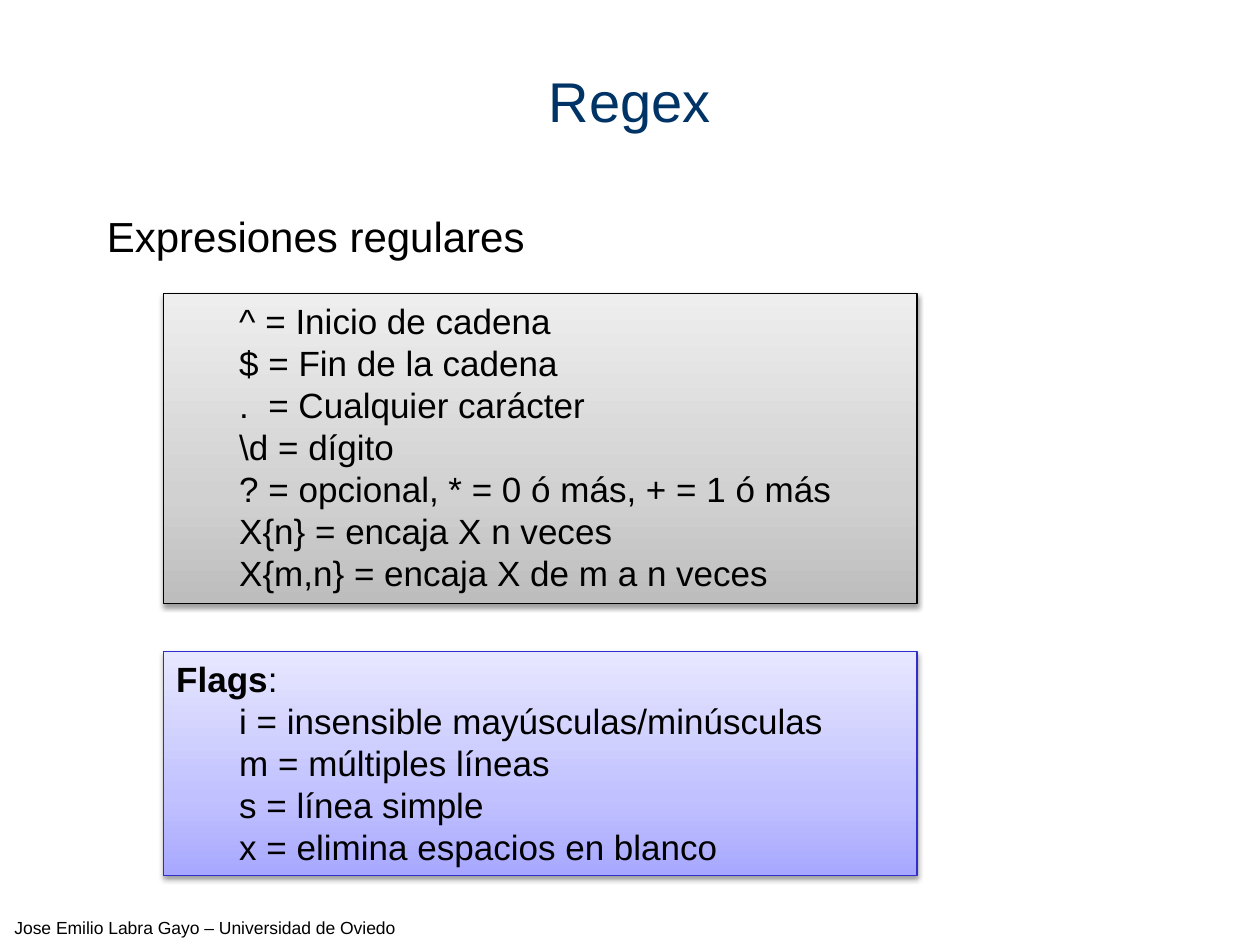
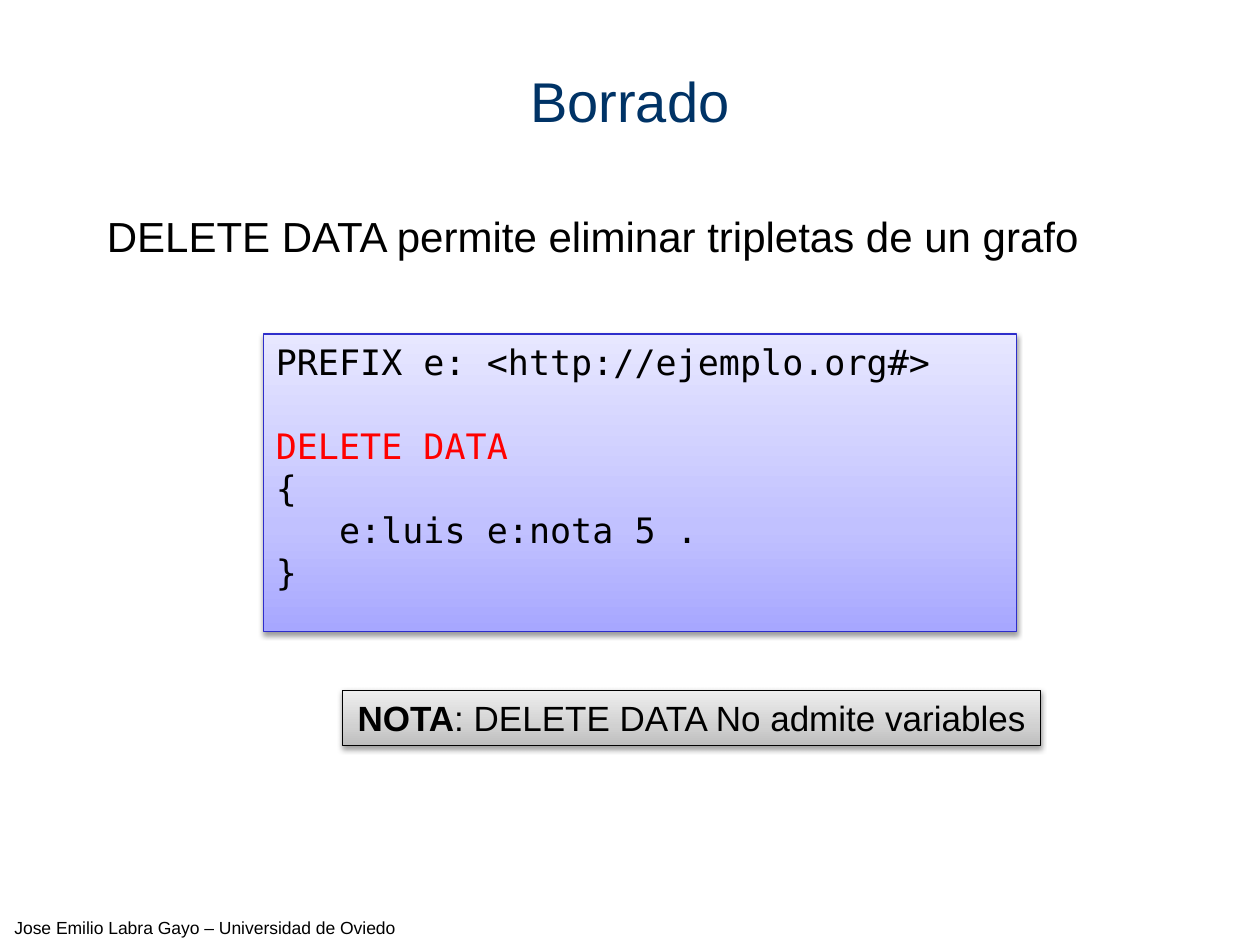
"""Build two slides on regular expressions and on deleting triples."""
from copy import deepcopy

from lxml import etree
from pptx import Presentation
from pptx.dml.color import RGBColor
from pptx.enum import shapes, text
from pptx.oxml.ns import qn
from pptx.util import Pt

SANS, MONO = "Arial", "DejaVu Sans Mono"
BLACK, NAVY, RED = "000000", "003366", "FF0000"
FOOTER = "Jose Emilio Labra Gayo – Universidad de Oviedo"
STOPS = (0, 0.35, 1)
THEMES = {
    "gray": (("BDBDBD", "D1D1D1", "EEEEEE"), BLACK),
    "blue": (("A7A7FF", "C1C1FF", "E7E7FF"), "2E2ECB"),
}
BOLD = {"bold": True}
INDENT = 36

SLIDES = [
    {
        "title": "Regex",
        "lead": "Expresiones regulares",
        "panels": [
            {
                "theme": "gray",
                "at": (93.6, 167.8, 430.5, 177),
                "indented": [
                    "^ = Inicio de cadena",
                    "$ = Fin de la cadena",
                    ".  = Cualquier carácter",
                    "\\d = dígito",
                    "? = opcional, * = 0 ó más, + = 1 ó más",
                    "X{n} = encaja X n veces",
                    "X{m,n} = encaja X de m a n veces",
                ],
            },
            {
                "theme": "blue",
                "at": (93.6, 372.2, 430.5, 128.2),
                "lines": [[("Flags", BOLD), (":", {})]],
                "indented": [
                    "i = insensible mayúsculas/minúsculas",
                    "m = múltiples líneas",
                    "s = línea simple",
                    "x = elimina espacios en blanco",
                ],
            },
        ],
    },
    {
        "title": "Borrado",
        "lead": "DELETE DATA permite eliminar tripletas de un grafo",
        "panels": [
            {
                "theme": "blue",
                "at": (150.5, 190.8, 430.5, 170),
                "lines": [
                    "PREFIX e: <http://ejemplo.org#>",
                    "",
                    [("DELETE DATA", {"color": RED})],
                    "{",
                    "   e:luis e:nota 5 .",
                    "}",
                ],
                "format": {"name": MONO},
            },
            {
                "theme": "gray",
                "at": (195.8, 394.5, 399, 31.7),
                "lines": [[("NOTA", BOLD), (": DELETE DATA No admite variables", {})]],
                "format": {"align": text.PP_ALIGN.CENTER, "wrap": False},
            },
        ],
    },
]


def rgb(value):
    """Turn a hex string into a colour."""
    return RGBColor.from_string(value)


def style(font, name, size, color, bold):
    """Format one font."""
    font.name, font.size, font.bold = name, Pt(size), bold
    font.color.rgb = rgb(color)


def write(shape, lines, indented=(), size=20, name=SANS, color=BLACK, bold=False,
          align=text.PP_ALIGN.LEFT, anchor=text.MSO_ANCHOR.TOP, wrap=True):
    """Fill a shape with plain lines, then indented lines."""
    frame = shape.text_frame
    frame.word_wrap, frame.vertical_anchor = wrap, anchor
    base = {"name": name, "size": size, "color": color, "bold": bold}
    rows = [(line, 0) for line in lines] + [(line, INDENT) for line in indented]
    for index, (line, margin) in enumerate(rows):
        paragraph = frame.add_paragraph() if index else frame.paragraphs[0]
        paragraph.alignment = align
        if margin:
            paragraph._p.get_or_add_pPr().set("marL", str(Pt(margin)))
        style(paragraph.font, **base)
        runs = [(line, {})] if isinstance(line, str) else line
        for words, changes in runs:
            if words:
                run = paragraph.add_run()
                run.text = words
                style(run.font, **{**base, **changes})


def add_label(slide, at, words, **options):
    """Add a one-line text box."""
    box = slide.shapes.add_textbox(*map(Pt, at))
    write(box, [words], **options)


def add_shadow(shape):
    """Give a shape a soft shadow below it."""
    shape.shadow.inherit = False
    effects = shape._element.spPr.find(qn("a:effectLst"))
    shadow = etree.SubElement(effects, qn("a:outerShdw"), blurRad=str(Pt(3.1)),
                              dist=str(Pt(1.6)), dir="5400000", rotWithShape="0")
    color = etree.SubElement(shadow, qn("a:srgbClr"), val=BLACK)
    etree.SubElement(color, qn("a:alpha"), val="38000")


def add_panel(slide, theme, at, lines=(), indented=(), format=None):
    """Add a gradient box with text."""
    colors, edge = THEMES[theme]
    shape = slide.shapes.add_shape(shapes.MSO_SHAPE.RECTANGLE, *map(Pt, at))
    shape.fill.gradient()
    shape.fill.gradient_angle = 90
    stop_list = shape._element.spPr.find(".//" + qn("a:gsLst"))
    stop_list.append(deepcopy(stop_list[0]))
    for stop, position, color in zip(shape.fill.gradient_stops, STOPS, colors):
        stop.position = position
        stop.color.rgb = rgb(color)
    shape.line.color.rgb = rgb(edge)
    shape.line.width = Pt(0.75)
    add_shadow(shape)
    write(shape, lines, indented, **(format or {}))


def add_slide(presentation, title, lead, panels):
    """Add a slide with footer, title, lead line and panels."""
    slide = presentation.slides.add_slide(presentation.slide_layouts[5])
    heading = slide.shapes.title
    heading.left, heading.top, heading.width, heading.height = map(Pt, (0, 12.2, 720, 90))
    write(heading, [title], size=32, color=NAVY, align=text.PP_ALIGN.CENTER,
          anchor=text.MSO_ANCHOR.MIDDLE)
    add_label(slide, (0, 520.5, 234, 19.4), FOOTER, size=10,
              align=text.PP_ALIGN.CENTER, wrap=False)
    add_label(slide, (54, 117, 612, 36), lead, size=24)
    for panel in panels:
        add_panel(slide, **panel)


def main():
    """Build and save the presentation."""
    presentation = Presentation()
    presentation.slide_width, presentation.slide_height = Pt(720), Pt(540)
    for content in SLIDES:
        add_slide(presentation, **content)
    presentation.save("out.pptx")


if __name__ == "__main__":
    main()
